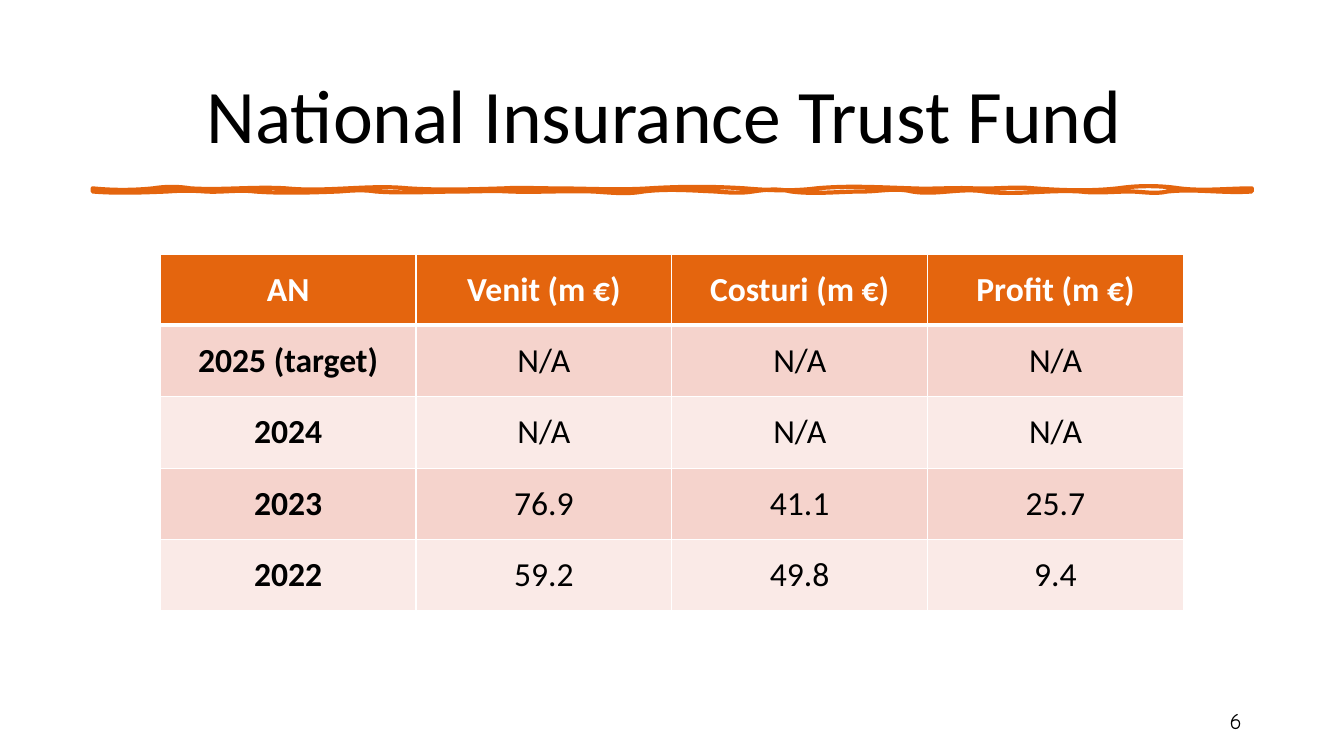
from lxml.etree import SubElement as Sub
from pptx import Presentation
from pptx.dml.color import RGBColor as Rgb
from pptx.enum.text import MSO_ANCHOR as Anchor, PP_ALIGN as Align
from pptx.oxml.ns import qn
from pptx.util import Pt

# Content
TITLE = "National Insurance Trust Fund"
NUMBER = "6"
ROWS = [
    ("AN", "Venit (m €)", "Costuri (m €)", "Profit (m €)"),
    ("2025 (target)", "N/A", "N/A", "N/A"),
    ("2024", "N/A", "N/A", "N/A"),
    ("2023", "76.9", "41.1", "25.7"),
    ("2022", "59.2", "49.8", "9.4"),
]

# Looks
ORANGE, BLACK, WHITE = "E4650E", "000000", "FFFFFF"
BANDS = ("FAEAE7", "F5D3CC")
COL, ROW = 182.7, 51

# Brush stroke: end of each wave, then its two bends in steps
LEFT, TOP, BASE, STEP = 66.2, 134.6, 136.8, 0.72
UPPER = [
    (109.4, 2, 2), (136.1, -2, -2), (204.5, 2, -2), (248.4, 2, 1),
    (291.6, -1, -2), (360, 2, 1), (395.3, -1, 0), (463.7, 0, 2),
    (532.1, -2, -2), (583.2, 2, 3), (651.6, -3, -1), (695.5, 1, -1),
    (738.7, 1, -2), (798.5, 2, 3), (842.4, -3, -3), (894.2, 3, 0),
]
LOWER = [
    (833.8, 2, -3), (807.1, 3, 0), (771.8, 0, 2), (703.4, -2, 4),
    (651.6, -4, 4), (616.3, -4, 0), (565.2, 0, 3), (537.8, -3, -2),
    (511.2, 2, 1), (459.4, -1, -3), (424.1, 3, 1), (364.3, -1, 1),
    (329, -1, 0), (268.6, 0, 2), (241.9, -2, -1), (182.2, 1, 2),
    (146.9, -2, 1), (119.5, -1, -1), (66.2, 1, 2),
]


def color(code):
    return Rgb.from_string(code)


def write(frame, text, align, **look):
    frame.word_wrap = True
    frame.vertical_anchor = Anchor.MIDDLE
    para = frame.paragraphs[0]
    para.text = text
    para.alignment = align
    font = para.runs[0].font
    font.color.rgb = color(look.pop("ink", BLACK))
    for name, value in look.items():
        setattr(font, name, value)


def place(shape, *box):
    for name, value in zip(("left", "top", "width", "height"), box):
        setattr(shape, name, Pt(value))


def bend(shape, start, waves):
    """Turn the straight parts of an outline into cubic waves."""
    parts = list(shape._element.iter(qn("a:lnTo")))
    for part, (end, *lifts) in zip(parts, waves):
        part.tag = qn("a:cubicBezTo")
        level = int(part[0].get("y"))
        for i, lift in enumerate(lifts):
            across = start + (end - start) * (i + 1) / 3 - LEFT
            spot = Sub(part, qn("a:pt"), x=str(Pt(across)),
                       y=str(level + Pt(STEP * lift)))
            part.insert(i, spot)
        start = end


def border(cell, side, width):
    line = Sub(cell._tc.get_or_add_tcPr(), qn("a:ln" + side), w=str(Pt(width)))
    fill = Sub(line, qn("a:solidFill"))
    Sub(fill, qn("a:srgbClr"), val=WHITE)


deck = Presentation()
deck.slide_width, deck.slide_height = Pt(960), Pt(540)
slide = deck.slides.add_slide(deck.slide_layouts[5])
shapes = slide.shapes

# Title
title = shapes.title
place(title, 60.5, 28.8, 828, 104.4)
write(title.text_frame, TITLE, Align.CENTER, size=Pt(54), name="Calibri")

# Brush stroke under the title
right = UPPER[-1][0]
turn = (right, 0, 0)
ends = [(wave[0], TOP) for wave in UPPER]
ends += [(wave[0], BASE) for wave in [turn] + LOWER]
pen = shapes.build_freeform(Pt(LEFT), Pt(TOP))
pen.add_line_segments([(Pt(x), Pt(y)) for x, y in ends], close=True)
stroke = pen.convert_to_shape()
bend(stroke, LEFT, UPPER + [turn] + LOWER)
stroke.shadow.inherit = False
stroke.fill.background()
stroke.line.color.rgb = color(ORANGE)
stroke.line.width = Pt(3)

# Slide number
number = shapes.add_textbox(Pt(678), Pt(500.4), Pt(216), Pt(28.8))
write(number.text_frame, NUMBER, Align.RIGHT, size=Pt(16), name="Comic Neue")

# Table
count = len(ROWS[0])
table = shapes.add_table(len(ROWS), count, Pt(114.5), Pt(181.4),
                         Pt(COL * count), Pt(ROW * len(ROWS))).table
for r, row in enumerate(ROWS):
    table.rows[r].height = Pt(ROW)
    head = r == 0
    for c, text in enumerate(row):
        cell = table.cell(r, c)
        write(cell.text_frame, text, Align.CENTER, size=Pt(24), name="Calibri",
              bold=head or c == 0, ink=WHITE if head else BLACK)
        cell.vertical_anchor = Anchor.MIDDLE
        widths = {"L": 1, "R": 1, "T": 3 if r == 1 else 1, "B": 3 if head else 1}
        for side, width in widths.items():
            border(cell, side, width)
        cell.fill.solid()
        cell.fill.fore_color.rgb = color(ORANGE if head else BANDS[r % 2])

deck.save("out.pptx")
